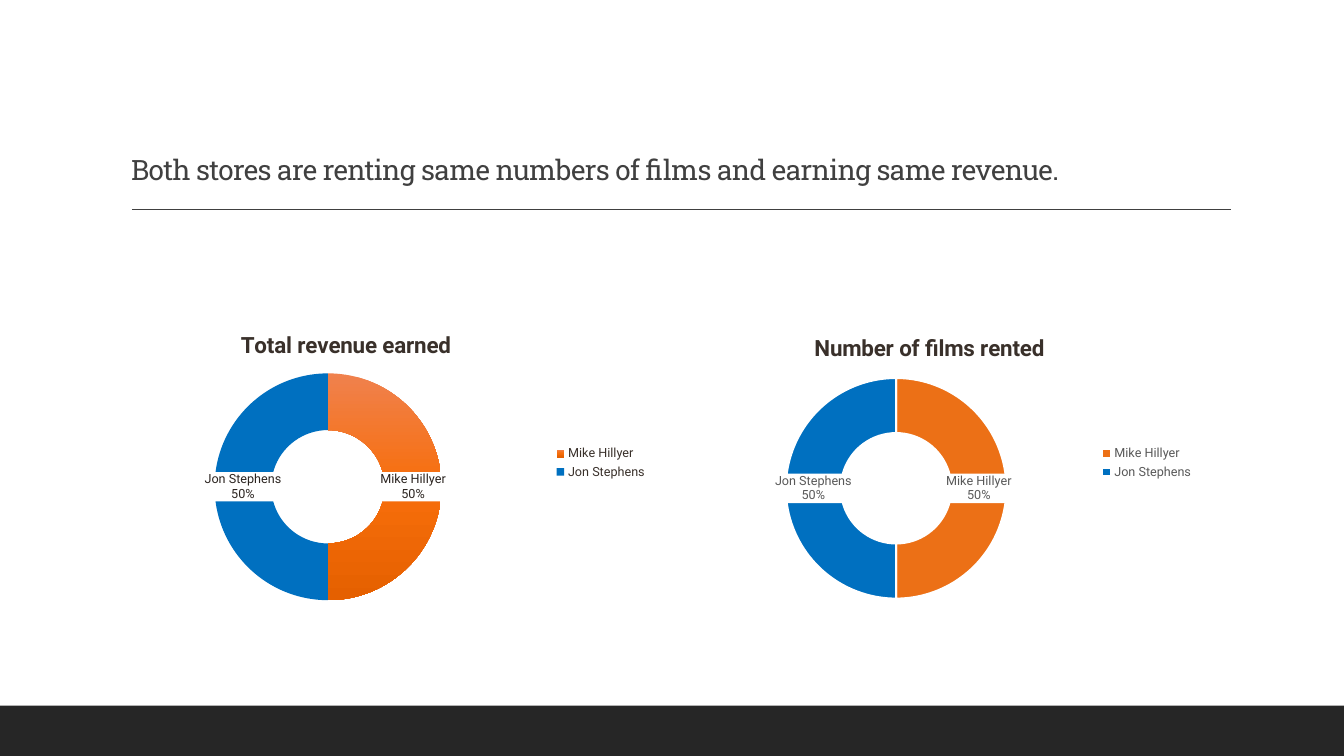
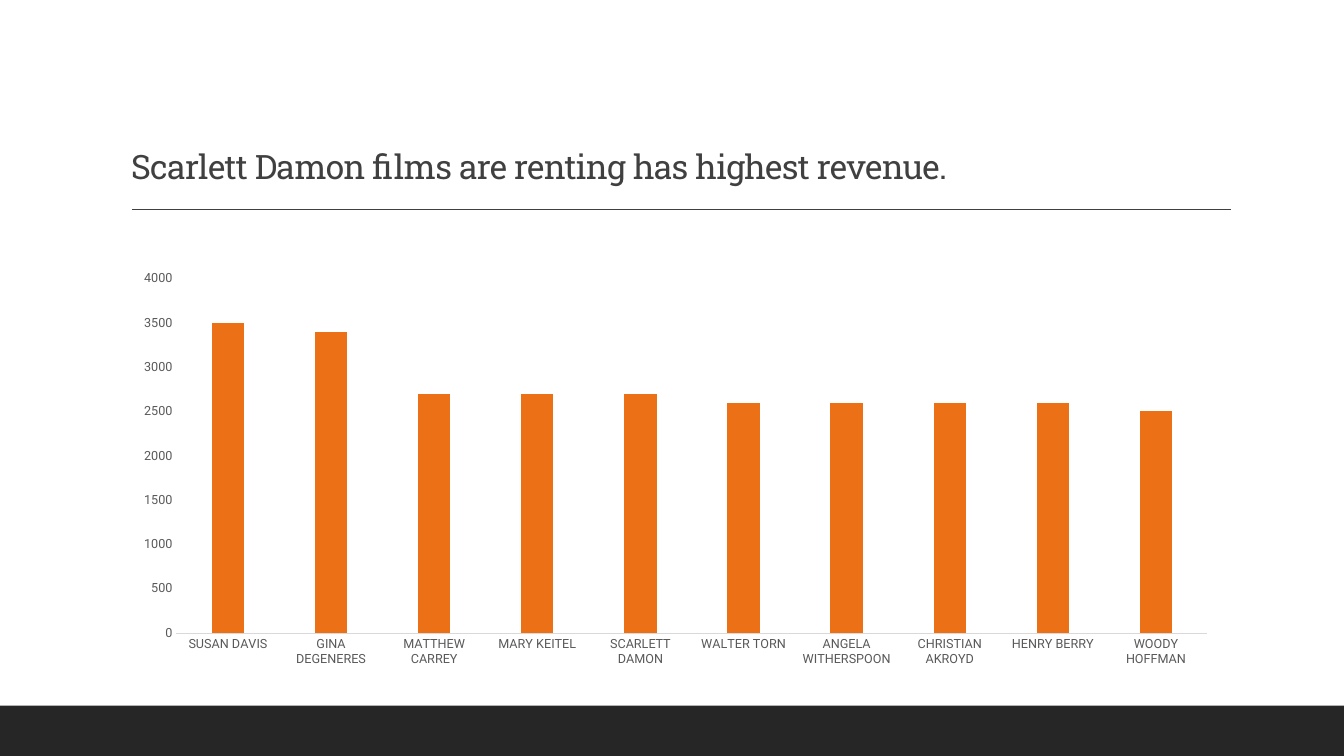
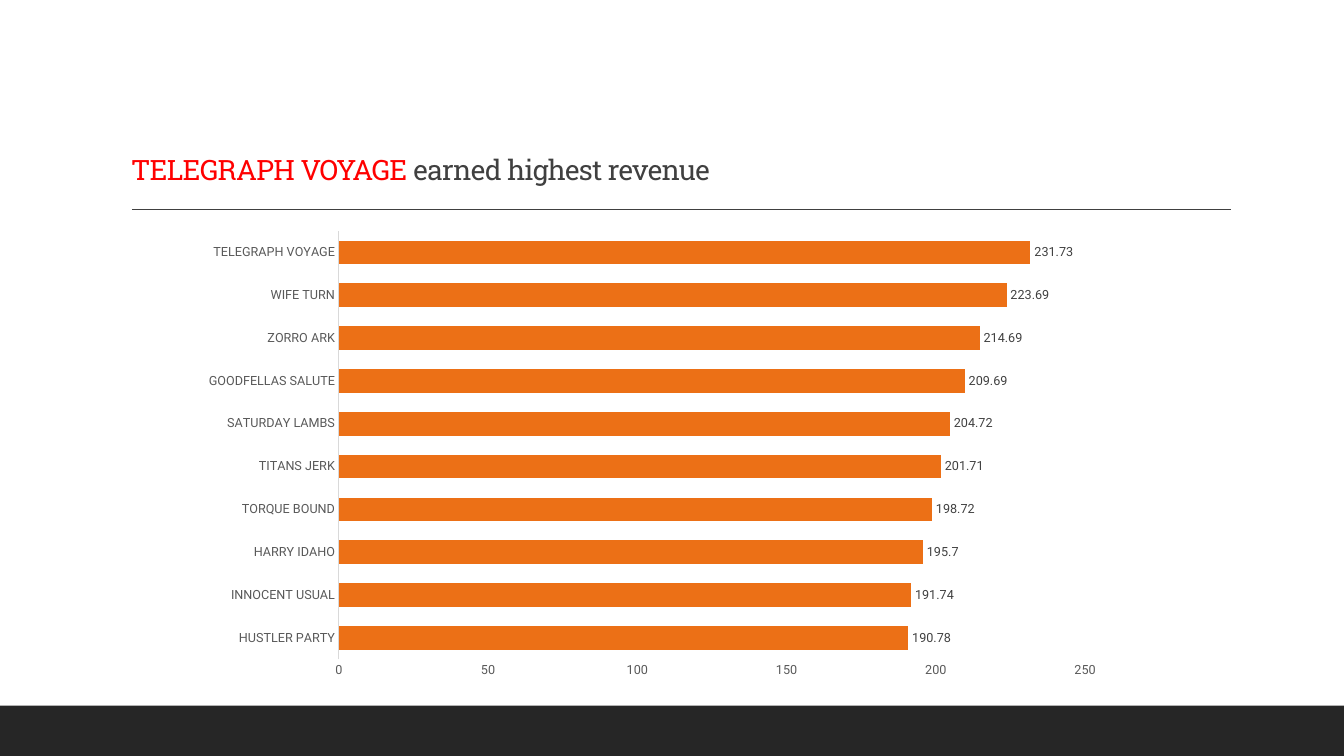
from copy import deepcopy
from dataclasses import dataclass
from typing import Any, Optional

from lxml.etree import SubElement
from pptx import Presentation
from pptx.chart.chart import Chart
from pptx.chart.data import CategoryChartData
from pptx.dml.color import RGBColor
from pptx.enum.chart import XL_CHART_TYPE, XL_LABEL_POSITION, XL_LEGEND_POSITION, XL_TICK_MARK
from pptx.enum.shapes import MSO_CONNECTOR, MSO_SHAPE
from pptx.enum.text import MSO_ANCHOR, MSO_AUTO_SIZE, PP_ALIGN
from pptx.oxml.ns import qn
from pptx.slide import Slide, SlideLayout
from pptx.util import Pt

COLORS = {
    "white": "FFFFFF", "black": "000000", "band": "262626", "ink": "404040",
    "muted": "595959", "axis": "D9D9D9", "highlight": "FF0000",
    "orange": "EC7016", "blue": "0070C0", "heading": "39302A", "label": "2B2420",
    "glow_top": "F0814D", "glow_middle": "F76E0B", "glow_bottom": "E56000",
}
BODY_FONT, TITLE_FONT = "Roboto", "Roboto Slab"
SLIDE_WIDTH, SLIDE_HEIGHT, BAND_HEIGHT = 960, 540, 36
TITLE_BOX = (86.4, 22.3, 792, 114.5)
RULE_LEFT, RULE_RIGHT, RULE_TOP = 94.3, 879.1, 149.8
STAFF = ["Mike Hillyer", "Jon Stephens"]

Box = tuple[float, float, float, float]


@dataclass(frozen=True)
class TitleRun:
    text: str
    color: str = "ink"


@dataclass(frozen=True)
class Doughnut:
    title: str
    box: Box
    title_place: tuple[float, float]
    plot_area: Box
    colors: tuple[tuple[str, ...], ...]
    legend_color: str
    label_color: str
    border: Optional[str] = None


@dataclass(frozen=True)
class BarChart:
    kind: XL_CHART_TYPE
    box: Box
    plot_area: Box
    values: dict[str, float]
    gap: int
    overlap: int
    maximum: float
    step: float
    labelled: bool = False


DOUGHNUTS = [
    Doughnut("Number of films rented", (499.7, 222.5, 360, 216), (0.22, 0.06),
             (0.17, 0.22, 0.44, 0.73), (("orange",), ("blue",)), "muted", "muted", "white"),
    Doughnut("Total revenue earned", (74.2, 222.5, 395.3, 216), (0.24, 0.05),
             (0.2, 0.2, 0.41, 0.76), (("glow_top", "glow_middle", "glow_bottom"), ("blue",)),
             "heading", "label"),
]
ACTOR_REVENUE = BarChart(
    XL_CHART_TYPE.COLUMN_CLUSTERED, (86.4, 187.2, 792, 294.5), (0.05, 0.04, 0.93, 0.86),
    {"SUSAN DAVIS": 3500, "GINA DEGENERES": 3400, "MATTHEW CARREY": 2700,
     "MARY KEITEL": 2700, "SCARLETT DAMON": 2700, "WALTER TORN": 2600,
     "ANGELA WITHERSPOON": 2600, "CHRISTIAN AKROYD": 2600, "HENRY BERRY": 2600,
     "WOODY HOFFMAN": 2500},
    gap=219, overlap=-27, maximum=4000, step=500)
FILM_REVENUE = BarChart(
    XL_CHART_TYPE.BAR_CLUSTERED, (136.8, 158.4, 658.1, 332.6), (0.16, 0.02, 0.81, 0.92),
    {"HUSTLER PARTY": 190.78, "INNOCENT USUAL": 191.74, "HARRY IDAHO": 195.7,
     "TORQUE BOUND": 198.72, "TITANS JERK": 201.71, "SATURDAY LAMBS": 204.72,
     "GOODFELLAS SALUTE": 209.69, "ZORRO ARK": 214.69, "WIFE TURN": 223.69,
     "TELEGRAPH VOYAGE": 231.73},
    gap=81, overlap=100, maximum=250, step=50, labelled=True)


def rgb(name: str) -> RGBColor:
    return RGBColor.from_string(COLORS[name])


def set_attributes(target: Any, values: dict[str, Any]) -> None:
    for name, value in values.items():
        setattr(target, name, value)


def style_font(font: Any, size: float, color: str, name: str = BODY_FONT, bold: bool = False) -> None:
    set_attributes(font, {"size": Pt(size), "name": name, "bold": bold})
    font.color.rgb = rgb(color)


def draw_shared_parts(slide: Slide, layout: SlideLayout) -> None:
    """Draw the band and the title rule, then move them to the layout."""
    band = slide.shapes.add_shape(MSO_SHAPE.RECTANGLE, Pt(0), Pt(SLIDE_HEIGHT - BAND_HEIGHT),
                                  Pt(SLIDE_WIDTH), Pt(BAND_HEIGHT))
    band.shadow.inherit = False
    band.fill.solid()
    band.fill.fore_color.rgb = rgb("band")
    band.line.fill.background()
    rule = slide.shapes.add_connector(MSO_CONNECTOR.STRAIGHT, Pt(RULE_LEFT), Pt(RULE_TOP),
                                      Pt(RULE_RIGHT), Pt(RULE_TOP))
    rule.line.color.rgb = rgb("ink")
    rule.line.width = Pt(1)
    SubElement(rule.element.spPr, qn("a:effectLst"))
    for shape in (band, rule):
        layout.shapes.element.append(shape.element)


def fill_title(slide: Slide, runs: list[TitleRun], size: float) -> None:
    title = slide.shapes.title
    set_attributes(title, dict(zip(("left", "top", "width", "height"), map(Pt, TITLE_BOX))))
    set_attributes(title.text_frame, {"word_wrap": True, "auto_size": MSO_AUTO_SIZE.NONE,
                                      "vertical_anchor": MSO_ANCHOR.BOTTOM})
    paragraph = title.text_frame.paragraphs[0]
    set_attributes(paragraph, {"alignment": PP_ALIGN.LEFT, "line_spacing": 0.9})
    for part in runs:
        run = paragraph.add_run()
        run.text = part.text
        style_font(run.font, size, part.color, TITLE_FONT)
        run.font._element.set("spc", "-50")


def place_part(parent: Any, index: int, place: tuple[float, ...]) -> None:
    """Give a chart title or plot area a manual layout in fractions of the chart."""
    for old in parent.findall(qn("c:layout")):
        parent.remove(old)
    layout = parent.makeelement(qn("c:layout"))
    parent.insert(index, layout)
    manual = SubElement(layout, qn("c:manualLayout"))
    settings = {"xMode": "edge", "yMode": "edge", **dict(zip("xywh", place))}
    if len(place) == 4:
        settings = {"layoutTarget": "inner", **settings}
    for name, value in settings.items():
        SubElement(manual, qn(f"c:{name}")).set("val", str(value))


def add_chart(slide: Slide, kind: XL_CHART_TYPE, box: Box, values: dict[str, float],
              plot_area: Box) -> Chart:
    data = CategoryChartData()
    data.categories = list(values)
    data.add_series("Series 1", list(values.values()))
    chart = slide.shapes.add_chart(kind, *map(Pt, box), data).chart
    style_font(chart.font, 10, "black")
    chart.has_title = chart.has_legend = False
    place_part(chart._chartSpace.chart.plotArea, 0, plot_area)
    return chart


def fill_point(point: Any, colors: tuple[str, ...]) -> None:
    """Fill with one colour, or with a downward gradient of several."""
    fill = point.format.fill
    if len(colors) == 1:
        fill.solid()
        fill.fore_color.rgb = rgb(colors[0])
        return
    fill.gradient()
    fill.gradient_angle = 270
    stop_list = fill.gradient_stops[0]._gs.getparent()
    while len(stop_list) < len(colors):
        stop_list.append(deepcopy(stop_list[0]))
    for index, (stop, color) in enumerate(zip(fill.gradient_stops, colors)):
        stop.position = index / (len(colors) - 1)
        stop.color.rgb = rgb(color)


def label_doughnut(plot: Any, color: str) -> None:
    plot.has_data_labels = True
    labels = plot.data_labels
    set_attributes(labels, {"show_value": False, "show_category_name": True,
                            "show_percentage": True, "number_format": "0%",
                            "number_format_is_linked": False})
    style_font(labels.font, 9, color)
    element = labels._element
    background = element.makeelement(qn("c:spPr"))
    fill = SubElement(background, qn("a:solidFill"))
    SubElement(fill, qn("a:srgbClr")).set("val", COLORS["white"])
    element.find(qn("c:txPr")).addprevious(background)
    separator = element.makeelement(qn("c:separator"))
    separator.text = "\n"
    leader_lines = element.find(qn("c:showLeaderLines"))
    if leader_lines is None:
        element.append(separator)
    else:
        leader_lines.addprevious(separator)


def draw_doughnut(slide: Slide, doughnut: Doughnut) -> None:
    chart = add_chart(slide, XL_CHART_TYPE.DOUGHNUT, doughnut.box,
                      dict.fromkeys(STAFF, 50), doughnut.plot_area)
    chart.has_title = True
    title_frame = chart.chart_title.text_frame
    title_frame.text = doughnut.title
    style_font(title_frame.paragraphs[0].runs[0].font, 16, "heading", bold=True)
    place_part(chart.chart_title._element, 1, doughnut.title_place)

    chart.has_legend = True
    set_attributes(chart.legend, {"position": XL_LEGEND_POSITION.RIGHT, "include_in_layout": False})
    style_font(chart.legend.font, 9, doughnut.legend_color)

    plot = chart.plots[0]
    plot.vary_by_categories = True
    plot._element.find(qn("c:holeSize")).set("val", "75")
    for index, colors in enumerate(doughnut.colors):
        point = plot.series[0].points[index]
        fill_point(point, colors)
        if doughnut.border:
            point.format.line.color.rgb = rgb(doughnut.border)
            point.format.line.width = Pt(1.5)
        else:
            point.format.line.fill.background()
    label_doughnut(plot, doughnut.label_color)


def draw_bars(slide: Slide, bars: BarChart) -> None:
    chart = add_chart(slide, bars.kind, bars.box, bars.values, bars.plot_area)
    for axis in (chart.category_axis, chart.value_axis):
        set_attributes(axis, {"has_major_gridlines": False, "major_tick_mark": XL_TICK_MARK.NONE,
                              "minor_tick_mark": XL_TICK_MARK.NONE})
        style_font(axis.tick_labels.font, 9, "muted")
    chart.category_axis.format.line.color.rgb = rgb("axis")
    chart.category_axis.format.line.width = Pt(0.75)
    chart.value_axis.format.line.fill.background()
    set_attributes(chart.value_axis, {"minimum_scale": 0, "maximum_scale": bars.maximum,
                                      "major_unit": bars.step})

    plot = chart.plots[0]
    set_attributes(plot, {"gap_width": bars.gap, "overlap": bars.overlap,
                          "vary_by_categories": False})
    fill = plot.series[0].format.fill
    fill.solid()
    fill.fore_color.rgb = rgb("orange")
    if bars.labelled:
        plot.has_data_labels = True
        set_attributes(plot.data_labels, {"show_value": True,
                                          "position": XL_LABEL_POSITION.OUTSIDE_END})
        style_font(plot.data_labels.font, 9, "ink")


def main() -> None:
    presentation = Presentation()
    set_attributes(presentation, {"slide_width": Pt(SLIDE_WIDTH), "slide_height": Pt(SLIDE_HEIGHT)})
    layout = presentation.slide_layouts.get_by_name("Title Only")
    stores, actors, films = (presentation.slides.add_slide(layout) for _ in range(3))
    draw_shared_parts(stores, layout)

    fill_title(stores, [TitleRun("Both stores are renting same numbers of films "
                                 "and earning same revenue.")], 20)
    for doughnut in DOUGHNUTS:
        draw_doughnut(stores, doughnut)

    fill_title(actors, [TitleRun("Scarlett Damon films are renting has highest revenue.")], 24)
    draw_bars(actors, ACTOR_REVENUE)

    fill_title(films, [TitleRun("TELEGRAPH VOYAGE ", "highlight"),
                       TitleRun("earned highest revenue")], 20)
    draw_bars(films, FILM_REVENUE)
    presentation.save("out.pptx")


if __name__ == "__main__":
    main()
